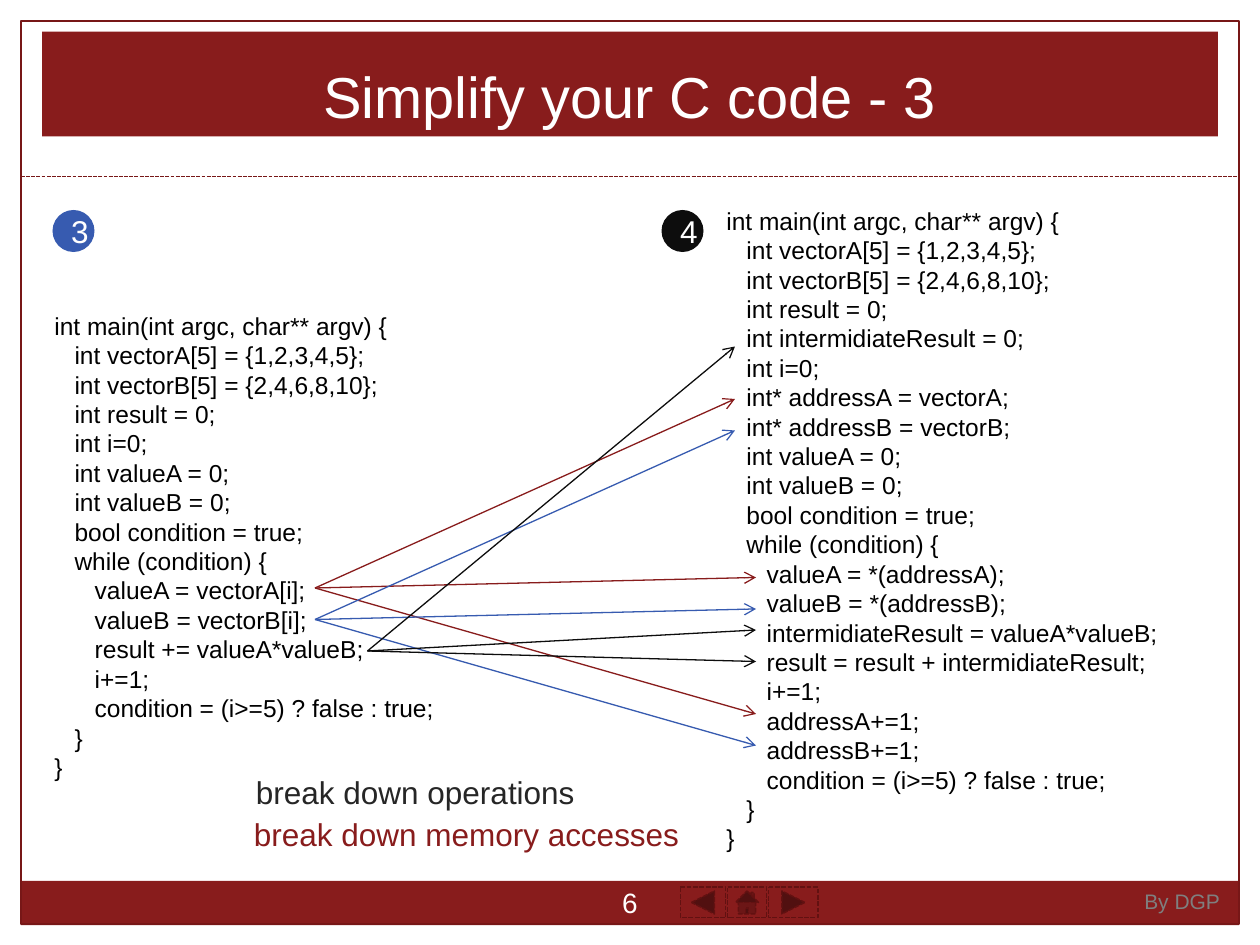
from lxml.etree import SubElement
from pptx import Presentation
from pptx.dml.color import RGBColor
from pptx.enum.dml import MSO_LINE
from pptx.enum.shapes import MSO_CONNECTOR, MSO_SHAPE
from pptx.enum.text import MSO_ANCHOR, MSO_AUTO_SIZE, PP_ALIGN
from pptx.oxml.ns import qn
from pptx.util import Inches, Pt

# Content: places are in grid units of 1/12 inch; code lines are (indent level, text)
RED, BLUE, BLACK, WHITE = "881C1C", "375BB0", "0D0D0D", "FFFFFF"
EDGE = "771717"
TITLE = "Simplify your C code - 3"

CODE_BEFORE = [
    (0, "int main(int argc, char** argv) {"),
    (1, "int vectorA[5] = {1,2,3,4,5};"),
    (1, "int vectorB[5] = {2,4,6,8,10};"),
    (1, "int result = 0;"),
    (1, "int i=0;"),
    (1, "int valueA = 0;"),
    (1, "int valueB = 0;"),
    (1, "bool condition = true;"),
    (1, "while (condition) {"),
    (2, "valueA = vectorA[i];"),
    (2, "valueB = vectorB[i];"),
    (2, "result += valueA*valueB;"),
    (2, "i+=1;"),
    (2, "condition = (i>=5) ? false : true;"),
    (1, "}"),
    (0, "}"),
]
CODE_AFTER = [
    (0, "int main(int argc, char** argv) {"),
    (1, "int vectorA[5] = {1,2,3,4,5};"),
    (1, "int vectorB[5] = {2,4,6,8,10};"),
    (1, "int result = 0;"),
    (1, "int intermidiateResult = 0;"),
    (1, "int i=0;"),
    (1, "int* addressA = vectorA;"),
    (1, "int* addressB = vectorB;"),
    (1, "int valueA = 0;"),
    (1, "int valueB = 0;"),
    (1, "bool condition = true;"),
    (1, "while (condition) {"),
    (2, "valueA = *(addressA);"),
    (2, "valueB = *(addressB);"),
    (2, "intermidiateResult = valueA*valueB;"),
    (2, "result = result + intermidiateResult;"),
    (2, "i+=1;"),
    (2, "addressA+=1;"),
    (2, "addressB+=1;"),
    (2, "condition = (i>=5) ? false : true;"),
    (1, "}"),
    (0, "}"),
]
LISTINGS = [(CODE_AFTER, (68, 19, 43.5, 63)), (CODE_BEFORE, (4, 29, 38.6, 52))]

# Colour, start, ends
ARROWS = [
    (RED, (30, 56), [(72, 55), (72, 68), (70, 38)]),
    (BLUE, (30, 59), [(72, 58), (72, 71), (70, 41)]),
    (BLACK, (35, 62), [(72, 60), (72, 63), (70, 33)]),
]
NOTES = [("break down operations", "262626", (23.2, 73, 32.7, 4.8)),
         ("break down memory accesses", RED, (23, 77, 42.9, 4.8))]
BADGES = [("3", BLUE, 5), ("4", BLACK, 63)]
BUTTONS = [(MSO_SHAPE.ACTION_BUTTON_FORWARD_OR_NEXT, 73.2, 4.7),
           (MSO_SHAPE.ACTION_BUTTON_BACK_OR_PREVIOUS, 64.8, 4.3),
           (MSO_SHAPE.ACTION_BUTTON_HOME, 69.3, 3.7)]


def grid(*units):
    return [Inches(u / 12) for u in units]


def rgb(color):
    return RGBColor.from_string(color)


def write(tf, lines, size, color, align=PP_ALIGN.LEFT, anchor=MSO_ANCHOR.TOP,
          wrap=True, spacing=None):
    """Fill a text frame with (indent level, text) lines or one string."""
    if isinstance(lines, str):
        lines = [(0, lines)]
    tf.auto_size = MSO_AUTO_SIZE.NONE
    tf.word_wrap, tf.vertical_anchor = wrap, anchor
    for i, (level, text) in enumerate(lines):
        p = tf.add_paragraph() if i else tf.paragraphs[0]
        p.alignment = align
        if spacing:
            p.line_spacing = Pt(spacing)
        if level:
            p._p.get_or_add_pPr().set("marL", str(Inches(0.16 * level)))
        r = p.add_run()
        r.text = text
        r.font.name, r.font.size = "Arial", Pt(size)
        r.font.color.rgb = rgb(color)


def add_text(s, box, lines, size, color, **fmt):
    tf = s.shapes.add_textbox(*grid(*box)).text_frame
    write(tf, lines, size, color, **fmt)


def style_line(line, color, width=0.75, dash=None):
    line.color.rgb, line.width = rgb(color), Pt(width)
    if dash:
        line.dash_style = dash


def add_shape(s, kind, box, fill=None):
    sp = s.shapes.add_shape(kind, *grid(*box))
    sp.shadow.inherit = False
    sp.line.fill.background()
    if fill:
        sp.fill.solid()
        sp.fill.fore_color.rgb = rgb(fill)
    else:
        sp.fill.background()
    return sp


def add_line(shapes, start, end, color, dash=None, arrow=False):
    line = shapes.add_connector(MSO_CONNECTOR.STRAIGHT, *grid(*start, *end))
    style_line(line.line, color, dash=dash)
    if arrow:
        SubElement(line.line._get_or_add_ln(), qn("a:tailEnd"), type="arrow")
    SubElement(line._element.spPr, qn("a:effectLst"))


def main():
    prs = Presentation()
    prs.slide_width, prs.slide_height = Inches(10), Inches(7.5)
    s = prs.slides.add_slide(prs.slide_layouts[5])

    # Footer band, frame and divider
    add_shape(s, MSO_SHAPE.RECTANGLE, (2, 83.9, 116, 4.2), RED)
    style_line(add_shape(s, MSO_SHAPE.RECTANGLE, (2, 2, 116, 86)).line, EDGE)
    add_line(s.shapes, (2, 16.8), (118, 16.8), EDGE, dash=MSO_LINE.SQUARE_DOT)

    # Footer buttons and text
    for kind, left, width in BUTTONS:
        sp = add_shape(s, kind, (left, 84.5, width, 2.9), RED)
        style_line(sp.line, "621111", 0.91, MSO_LINE.SQUARE_DOT)
    add_text(s, (56, 83.9, 8, 4.1), "6", 16, WHITE,
             align=PP_ALIGN.CENTER, anchor=MSO_ANCHOR.MIDDLE)
    add_text(s, (107.8, 84, 9.6, 3.6), "By DGP", 12, "7F7F7F", wrap=False)

    # Title
    title = s.shapes.title
    title.left, title.top, title.width, title.height = grid(4, 3, 112, 10)
    title.fill.solid()
    title.fill.fore_color.rgb = rgb(RED)
    write(title.text_frame, TITLE, 33, WHITE,
          align=PP_ALIGN.CENTER, anchor=MSO_ANCHOR.BOTTOM)

    # Code listings
    for code, box in LISTINGS:
        add_text(s, box, code, 14, "000000", wrap=False, spacing=16.8)

    # Arrows from each old line to the new ones, one group per line
    for color, start, ends in ARROWS:
        group = s.shapes.add_group_shape()
        for end in ends:
            add_line(group.shapes, start, end, color, arrow=True)

    # Notes and numbered badges
    for text, color, box in NOTES:
        add_text(s, box, text, 18, color, wrap=False)
    for number, color, left in BADGES:
        sp = add_shape(s, MSO_SHAPE.OVAL, (left, 20, 4, 4), color)
        write(sp.text_frame, number, 18, WHITE,
              align=PP_ALIGN.CENTER, anchor=MSO_ANCHOR.MIDDLE)

    prs.save("out.pptx")


if __name__ == "__main__":
    main()
